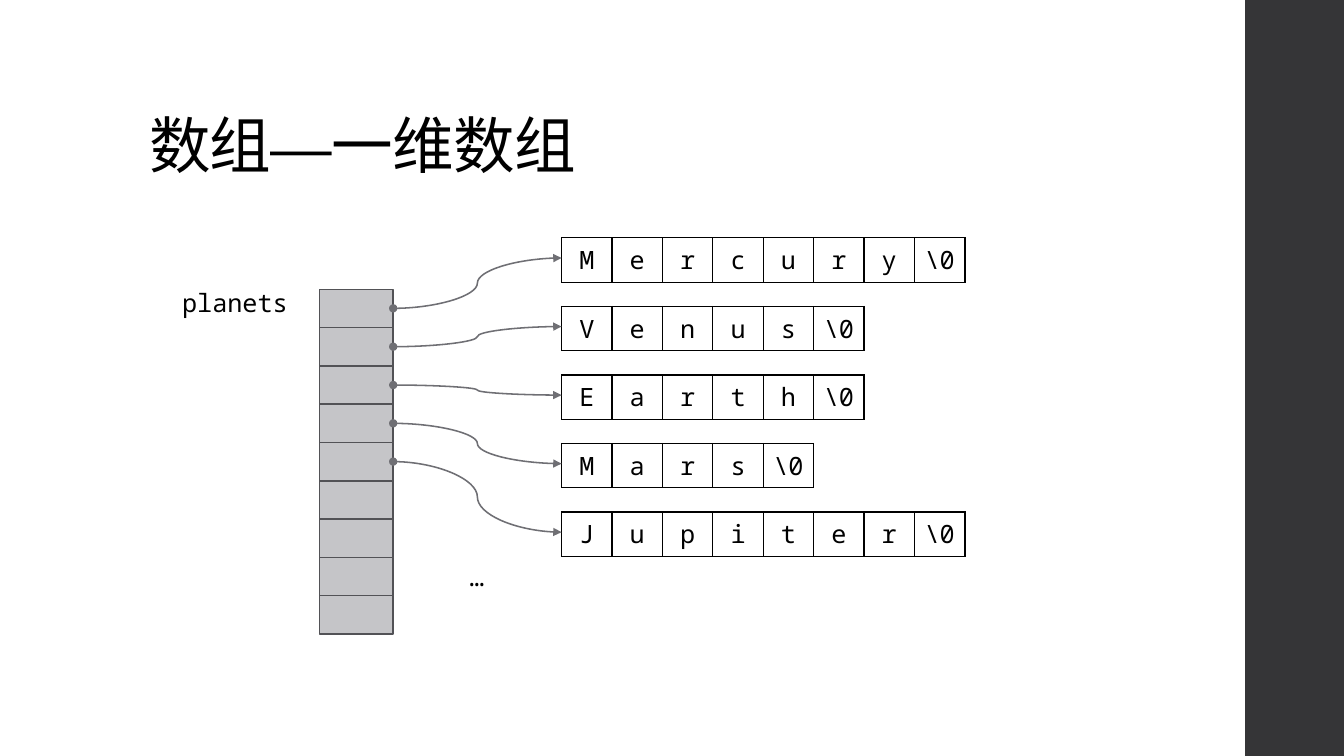
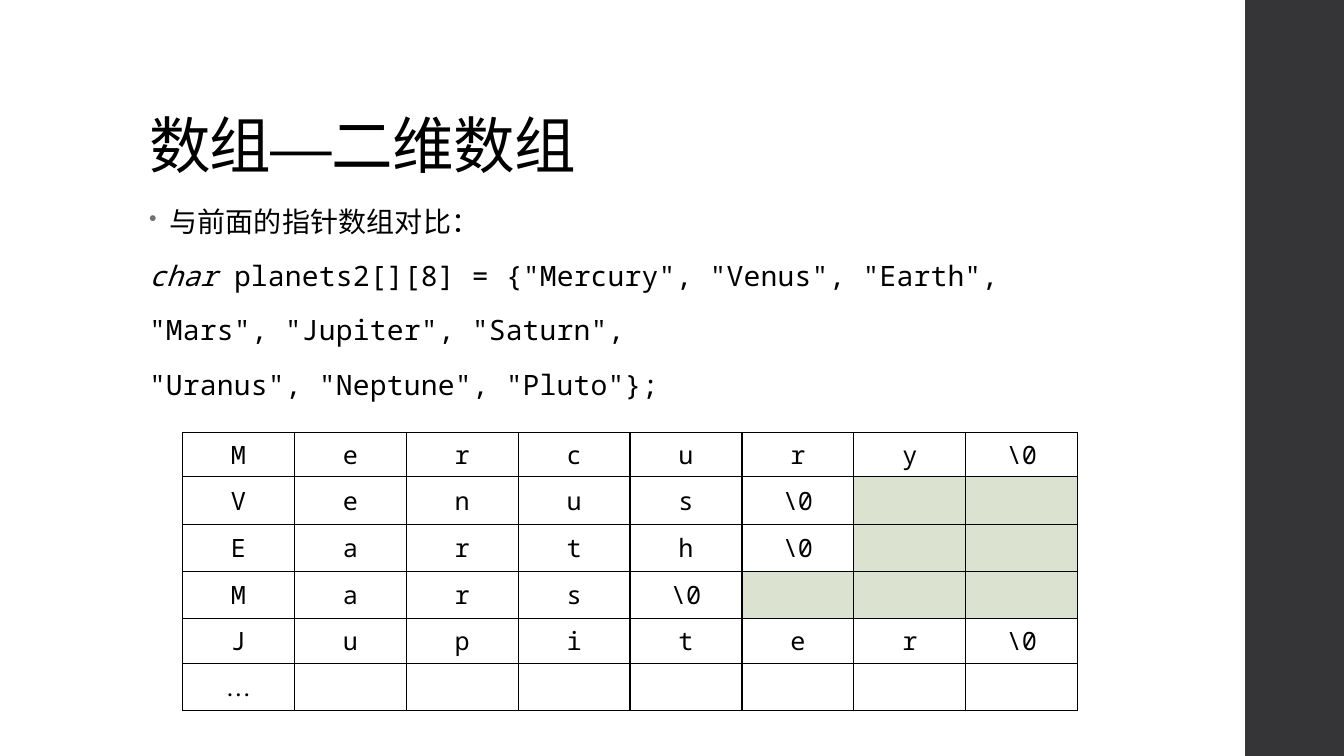
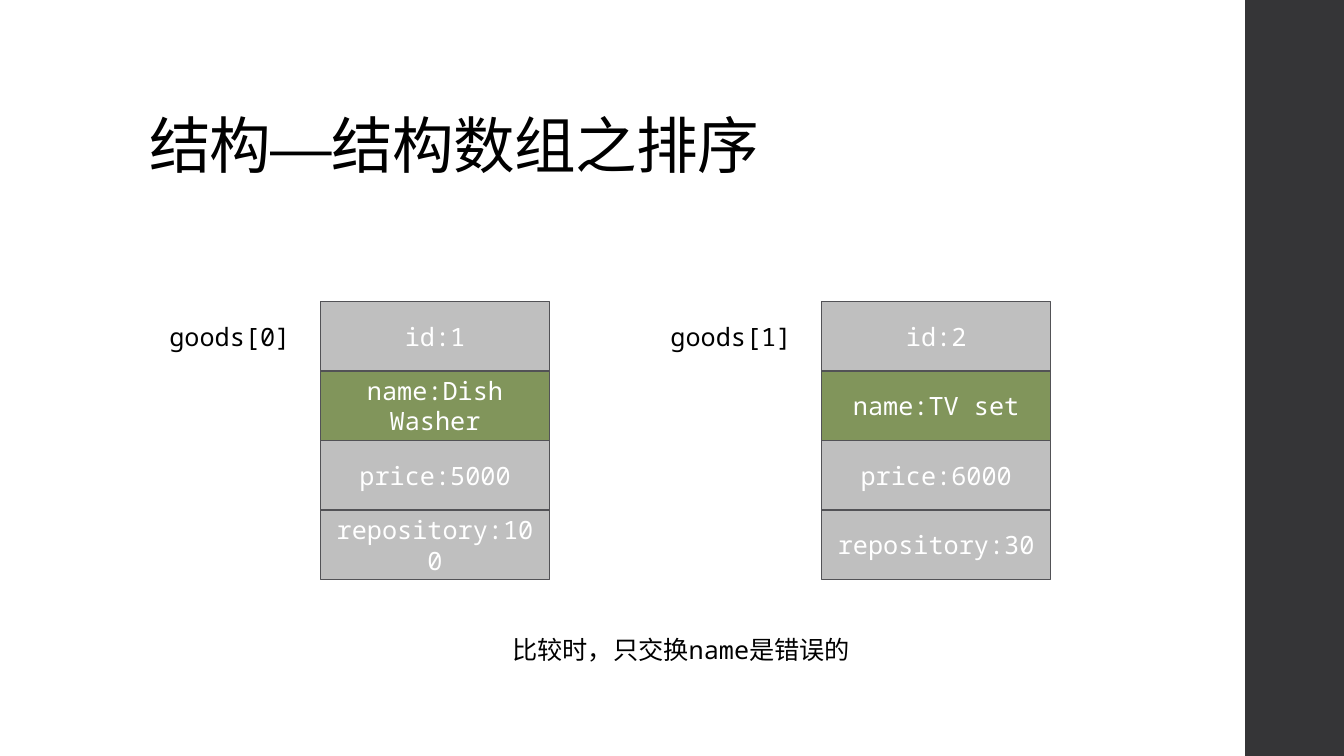
from lxml.etree import SubElement
from pptx import Presentation
from pptx.dml.color import RGBColor
from pptx.enum.shapes import MSO_CONNECTOR as CONNECTOR, MSO_SHAPE as SHAPE
from pptx.enum.text import MSO_ANCHOR as ANCHOR, PP_ALIGN as ALIGN
from pptx.oxml.ns import qn
from pptx.util import Inches, Pt

BLACK = RGBColor(0x00, 0x00, 0x00)
WHITE = RGBColor(0xFF, 0xFF, 0xFF)
BAND = RGBColor(0x35, 0x35, 0x37)
SLOT = RGBColor(0xC5, 0xC5, 0xC8)
FIELD = RGBColor(0xBF, 0xBF, 0xBF)
NAME_FIELD = RGBColor(0x81, 0x95, 0x5B)
OUTLINE = RGBColor(0x52, 0x52, 0x56)
POINTER = RGBColor(0x6F, 0x6F, 0x74)
UNUSED = RGBColor(0xDC, 0xE2, 0xD0)

MONO = "Noto Sans Mono"
SERIF = "TeX Gyre Schola"
NUL = "\\0"
PLANETS = ["Mercury", "Venus", "Earth", "Mars", "Jupiter"]


def write(paragraph, text, size=18, font=MONO, color=BLACK, italic=False,
          spacing=0, align=None):
    """Add a formatted run to a paragraph."""
    run = paragraph.add_run()
    run.text = text
    run.font.size = Pt(size)
    run.font.name = font
    run.font.italic = italic
    run.font.color.rgb = color
    properties = run._r.get_or_add_rPr()
    SubElement(properties, qn("a:ea")).set("typeface", font)
    if spacing:
        properties.set("spc", str(round(spacing * 100)))
    if align is not None:
        paragraph.alignment = align


def add_frame(slide, left, top, width, height, anchor=ANCHOR.MIDDLE):
    """Add a wrapping text box and return its text frame."""
    box = slide.shapes.add_textbox(
        Inches(left), Inches(top), Inches(width), Inches(height))
    frame = box.text_frame
    frame.word_wrap = True
    frame.vertical_anchor = anchor
    return frame


def add_label(slide, text, left, top, width, height):
    """Place a centred one-line label."""
    frame = add_frame(slide, left, top, width, height)
    write(frame.paragraphs[0], text, align=ALIGN.CENTER)


def add_box(shapes, left, top, width, height, fill, line=None):
    """Draw a flat rectangle, outlined if a line colour is given."""
    box = shapes.add_shape(SHAPE.RECTANGLE, Inches(left), Inches(top),
                           Inches(width), Inches(height))
    box.shadow.inherit = False
    box.fill.solid()
    box.fill.fore_color.rgb = fill
    if line is None:
        box.line.fill.background()
    else:
        box.line.color.rgb = line
        box.line.width = Pt(1.1)
    return box


def add_base(deck, title):
    """Add a slide with the side band and its title."""
    slide = deck.slides.add_slide(deck.slide_layouts[6])
    add_box(slide.shapes, 12.35, 0, 0.98, 7.5, BAND)
    heading = add_frame(slide, 1.38, 0.4, 10.6, 1.45, ANCHOR.BOTTOM).paragraphs[0]
    heading.line_spacing = 0.9
    write(heading, title, size=44, font=SERIF, spacing=-0.5)
    return slide


def add_stack(slide, left, top, width, row_height, rows):
    """Stack touching boxes, given as (text, fill) pairs, in one group."""
    stack = slide.shapes.add_group_shape().shapes
    for index, (text, fill) in enumerate(rows):
        box = add_box(stack, left, top + index * row_height, width, row_height,
                      fill, OUTLINE)
        if text:
            frame = box.text_frame
            frame.word_wrap = True
            frame.vertical_anchor = ANCHOR.MIDDLE
            write(frame.paragraphs[0], text, color=WHITE, align=ALIGN.CENTER)


def style_cell(cell, fill=None):
    """Give a cell thin black borders, even margins and its fill."""
    properties = cell._tc.get_or_add_tcPr()
    for side in ("a:lnL", "a:lnR", "a:lnT", "a:lnB"):
        border = SubElement(properties, qn(side), w=str(Pt(1)))
        solid = SubElement(border, qn("a:solidFill"))
        SubElement(solid, qn("a:srgbClr")).set("val", str(BLACK))
    if fill is None:
        cell.fill.background()
    else:
        cell.fill.solid()
        cell.fill.fore_color.rgb = fill
    cell.margin_left = cell.margin_right = Inches(0.05)
    cell.margin_top = cell.margin_bottom = Inches(0.05)
    cell.vertical_anchor = ANCHOR.MIDDLE


def add_grid(slide, left, top, column_width, row_heights, columns):
    """Add a plain table with equal columns and styled cells."""
    table = slide.shapes.add_table(
        len(row_heights), columns, Inches(left), Inches(top),
        Inches(column_width * columns), Inches(sum(row_heights))).table
    table.first_row = table.horz_banding = False
    for column in table.columns:
        column.width = Inches(column_width)
    for row, height in zip(table.rows, row_heights):
        row.height = Inches(height)
    return table


def fill_word(table, row, word):
    """Write a terminated word one character a cell and shade the rest."""
    letters = [*word, NUL]
    for index, cell in enumerate(table.rows[row].cells):
        if index < len(letters):
            style_cell(cell)
            write(cell.text_frame.paragraphs[0], letters[index], align=ALIGN.CENTER)
        else:
            style_cell(cell, UNUSED)


def add_pointer(slide, start, end):
    """Draw a curved pointer with a dot at its start and an arrow at its end."""
    pointer = slide.shapes.add_connector(
        CONNECTOR.CURVE, *(Inches(value) for value in (*start, *end)))
    pointer.line.color.rgb = POINTER
    pointer.line.width = Pt(1.1)
    line = pointer.line._get_or_add_ln()
    SubElement(line, qn("a:headEnd"), type="oval")
    SubElement(line, qn("a:tailEnd"), type="triangle")
    SubElement(pointer._element.spPr, qn("a:effectLst"))


def add_bullet(paragraph):
    """Give a paragraph a small grey bullet with a hanging indent."""
    properties = paragraph._p.get_or_add_pPr()
    properties.set("marL", str(Inches(0.2)))
    properties.set("indent", str(Inches(-0.2)))
    color = SubElement(properties, qn("a:buClr"))
    SubElement(color, qn("a:srgbClr")).set("val", str(POINTER))
    SubElement(properties, qn("a:buSzPct")).set("val", "80000")
    SubElement(properties, qn("a:buChar")).set("char", "•")


def add_declaration(slide, left, top, width, height):
    """Write the comparison line and the array declaration."""
    lines = [
        [("与前面的指针数组对比：", False)],
        [("char ", True),
         ('planets2[][8] = {"Mercury", "Venus", "Earth",', False)],
        [('"Mars", "Jupiter", "Saturn",', False)],
        [('"Uranus", "Neptune", "Pluto"};', False)],
    ]
    frame = add_frame(slide, left, top, width, height, ANCHOR.TOP)
    for index, parts in enumerate(lines):
        if index:
            paragraph = frame.add_paragraph()
            paragraph.space_before = Pt(14)
        else:
            paragraph = frame.paragraphs[0]
            add_bullet(paragraph)
        paragraph.line_spacing = 0.95
        paragraph.space_after = Pt(2)
        for text, italic in parts:
            write(paragraph, text, size=20, italic=italic, spacing=0.1)


def add_planet_grid(slide, left, top):
    """Tabulate the planets as rows of an eight-column array."""
    columns = 8
    heights = [0.44 if len(word) + 1 == columns else 0.47 for word in PLANETS]
    table = add_grid(slide, left, top, 1.11, [*heights, 0.47], columns)
    for row, word in enumerate(PLANETS):
        fill_word(table, row, word)
    last_cells = list(table.rows[len(PLANETS)].cells)
    for cell in last_cells:
        style_cell(cell)
    last_cells[0].vertical_anchor = ANCHOR.TOP
    write(last_cells[0].text_frame.paragraphs[0], "…", font=SERIF, align=ALIGN.CENTER)


def add_pointer_array(slide, left, top):
    """Draw the array of pointers and the words they point to."""
    slot_width, slot_height = 0.73, 0.38
    words_left, words_top, word_step = left + 2.4, top - 0.51, 0.68
    add_stack(slide, left, top, slot_width, slot_height, [("", SLOT)] * 9)
    for index, word in enumerate(PLANETS):
        word_top = words_top + index * word_step
        table = add_grid(slide, words_left, word_top, 0.5, [0.44], len(word) + 1)
        fill_word(table, 0, word)
        add_pointer(slide,
                    (left + slot_width, top + (index + 0.5) * slot_height),
                    (words_left, word_top + 0.2))
    add_label(slide, "planets", left - 1.5, top - 0.06, 1.32, slot_height)
    add_label(slide, "…", left + 0.9, top + 7 * slot_height, 1.32, slot_height)


def add_record(slide, left, top, label, fields):
    """Draw one struct with its label and its name field highlighted."""
    label_width, row_height = 1.8, 0.69
    add_label(slide, label, left, top, label_width, row_height)
    rows = [(f"{key}:{value}", NAME_FIELD if key == "name" else FIELD)
            for key, value in fields.items()]
    add_stack(slide, left + label_width, top, 2.27, row_height, rows)


def add_one_dimension_slide(deck):
    """Build the slide on the array of pointers."""
    slide = add_base(deck, "数组—一维数组")
    add_pointer_array(slide, 3.17, 2.87)


def add_two_dimension_slide(deck):
    """Build the slide on the two-dimensional array."""
    slide = add_base(deck, "数组—二维数组")
    add_declaration(slide, 1.38, 2, 9.4, 2.2)
    add_planet_grid(slide, 1.81, 4.29)


def add_sorting_slide(deck):
    """Build the slide on sorting an array of structs."""
    slide = add_base(deck, "结构—结构数组之排序")
    goods = [
        {"id": 1, "name": "Dish Washer", "price": 5000, "repository": 100},
        {"id": 2, "name": "TV set", "price": 6000, "repository": 30},
    ]
    for index, fields in enumerate(goods):
        add_record(slide, 1.38 + index * 4.97, 2.99, f"goods[{index}]", fields)
    add_label(slide, "比较时，只交换name是错误的", 3.65, 6.1, 6.21, 0.69)


def main():
    """Build and save the deck."""
    deck = Presentation()
    deck.slide_width, deck.slide_height = Inches(13.33), Inches(7.5)
    add_one_dimension_slide(deck)
    add_two_dimension_slide(deck)
    add_sorting_slide(deck)
    deck.save("out.pptx")


if __name__ == "__main__":
    main()
